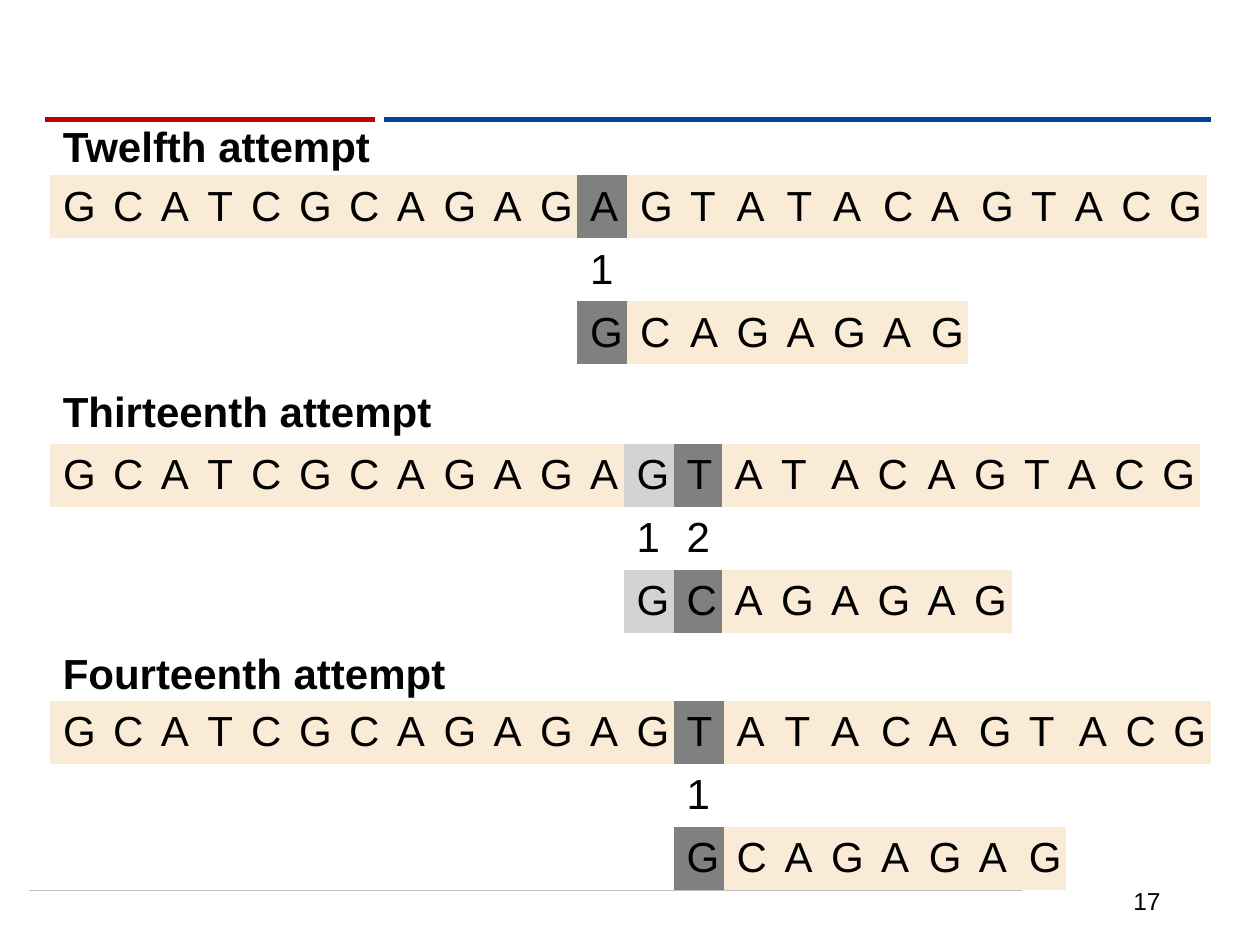
from pptx import Presentation
from pptx.dml.color import RGBColor
from pptx.enum.shapes import MSO_CONNECTOR
from pptx.enum.text import MSO_ANCHOR, PP_ALIGN
from pptx.util import Inches, Pt

HUES = {"red": "C00000", "blue": "004299", "rule": "BFBFBF", "ink": "000000",
        "head": "030301", "cell": "FAEBD7", "hit": "D3D3D3", "miss": "808080",
        "blank": "FFFFFF"}
TEXT = "GCATCGCAGAGAGTATACAGTACG"
WORD = "GCAGAGAG"
WIDE = {"G": 28.6, "C": 27.4, "A": 26.6, "T": 25}  # column points by letter
LEFT = 0.4
ROW = 0.5
PLAIN = "{2D5ABB26-0587-4C30-8999-92F81FD0307C}"  # no style, no grid

# title, title top, table top, shift of the word, letters compared
TRIES = [("Twelfth attempt", 0.91, 1.39, 11, 1),
         ("Thirteenth attempt", 3.01, 3.52, 12, 2),
         ("Fourteenth attempt", 5.09, 5.56, 13, 1)]


def hue(name):
    return RGBColor.from_string(HUES[name])


def write(frame, text, size=24, color="ink", bold=False, align=PP_ALIGN.LEFT):
    para = frame.paragraphs[0]
    para.alignment = align
    run = para.add_run()
    run.text = text
    font = run.font
    font.name, font.size, font.bold = "Arial", Pt(size), bold
    font.color.rgb = hue(color)


def add_text(slide, text, left, top, width, height, **style):
    box = slide.shapes.add_textbox(*map(Inches, (left, top, width, height)))
    frame = box.text_frame
    frame.word_wrap = True
    frame.vertical_anchor = MSO_ANCHOR.MIDDLE
    write(frame, text, **style)


def add_rule(slide, start, end, y, color, weight):
    line = slide.shapes.add_connector(
        MSO_CONNECTOR.STRAIGHT, Inches(start), Inches(y), Inches(end), Inches(y))
    line.line.color.rgb = hue(color)
    line.line.width = Pt(weight)
    props = line._element.spPr
    props.append(props.makeelement(
        "{http://schemas.openxmlformats.org/drawingml/2006/main}effectLst", {}))


def fill_cell(cell, text="", color="blank"):
    cell.fill.solid()
    cell.fill.fore_color.rgb = hue(color)
    cell.vertical_anchor = MSO_ANCHOR.MIDDLE
    cell.margin_right = 0
    if text:
        write(cell.text_frame, text)


def add_match(slide, top, shift, count):
    """Text over word; the last of the count compared letters is the mismatch."""
    stop = shift + len(WORD)
    under = dict(zip(range(shift, stop), WORD))
    wide = [Pt(max(WIDE[a], WIDE[under.get(i, a)])) for i, a in enumerate(TEXT)]
    table = slide.shapes.add_table(
        3, len(TEXT), Inches(LEFT), Inches(top), sum(wide), Inches(3 * ROW)).table
    table.first_row = table.horz_banding = False
    table._tbl.tblPr[0].text = PLAIN
    for row in table.rows:
        row.height = Inches(ROW)

    marks = {shift + i: "hit" for i in range(count - 1)}
    marks[shift + count - 1] = "miss"
    for i, letter in enumerate(TEXT):
        table.columns[i].width = wide[i]
        color = marks.get(i, "cell")
        fill_cell(table.cell(0, i), letter, color)
        fill_cell(table.cell(1, i), str(i - shift + 1) if i in marks else "")
        fill_cell(table.cell(2, i), under.get(i, ""),
                  color if i in under else "blank")

    for row, first in ((1, shift + count), (2, stop)):
        table.cell(row, 0).merge(table.cell(row, shift - 1))
        table.cell(row, first).merge(table.cell(row, len(TEXT) - 1))


def main():
    deck = Presentation()
    deck.slide_width, deck.slide_height = Inches(10), Inches(7.5)
    slide = deck.slides.add_slide(deck.slide_layouts[6])
    add_rule(slide, 0.23, 8.11, 7.07, "rule", 0.5)
    add_rule(slide, 3.05, 9.61, 0.95, "blue", 3)
    add_rule(slide, 0.36, 2.98, 0.95, "red", 3)
    add_text(slide, "17", 7.06, 6.95, 2.25, 0.4, size=14, align=PP_ALIGN.RIGHT)
    for title, high, top, shift, count in TRIES:
        add_text(slide, title, LEFT, high, 3.31, ROW, color="head", bold=True)
        add_match(slide, top, shift, count)
    deck.save("out.pptx")


if __name__ == "__main__":
    main()
